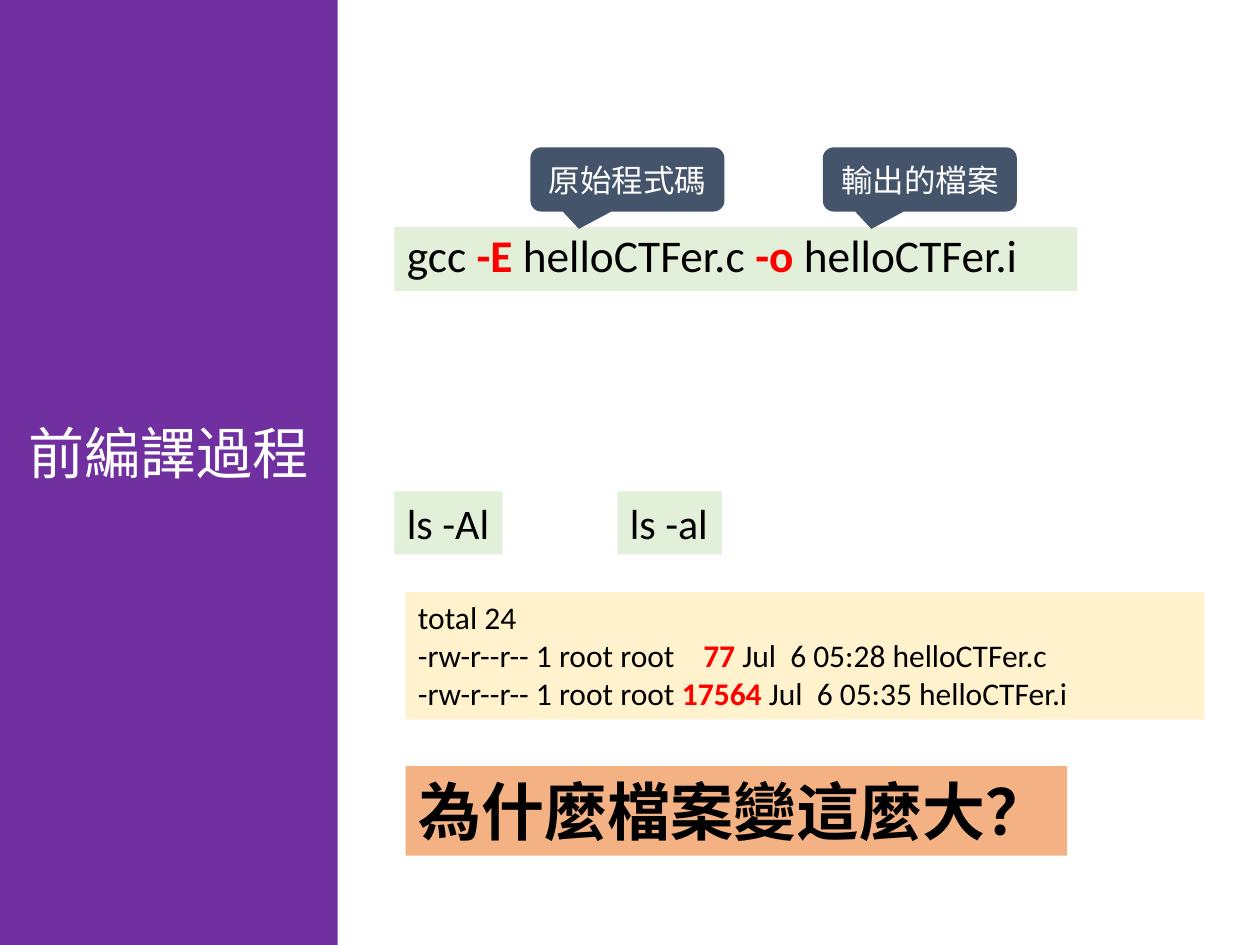
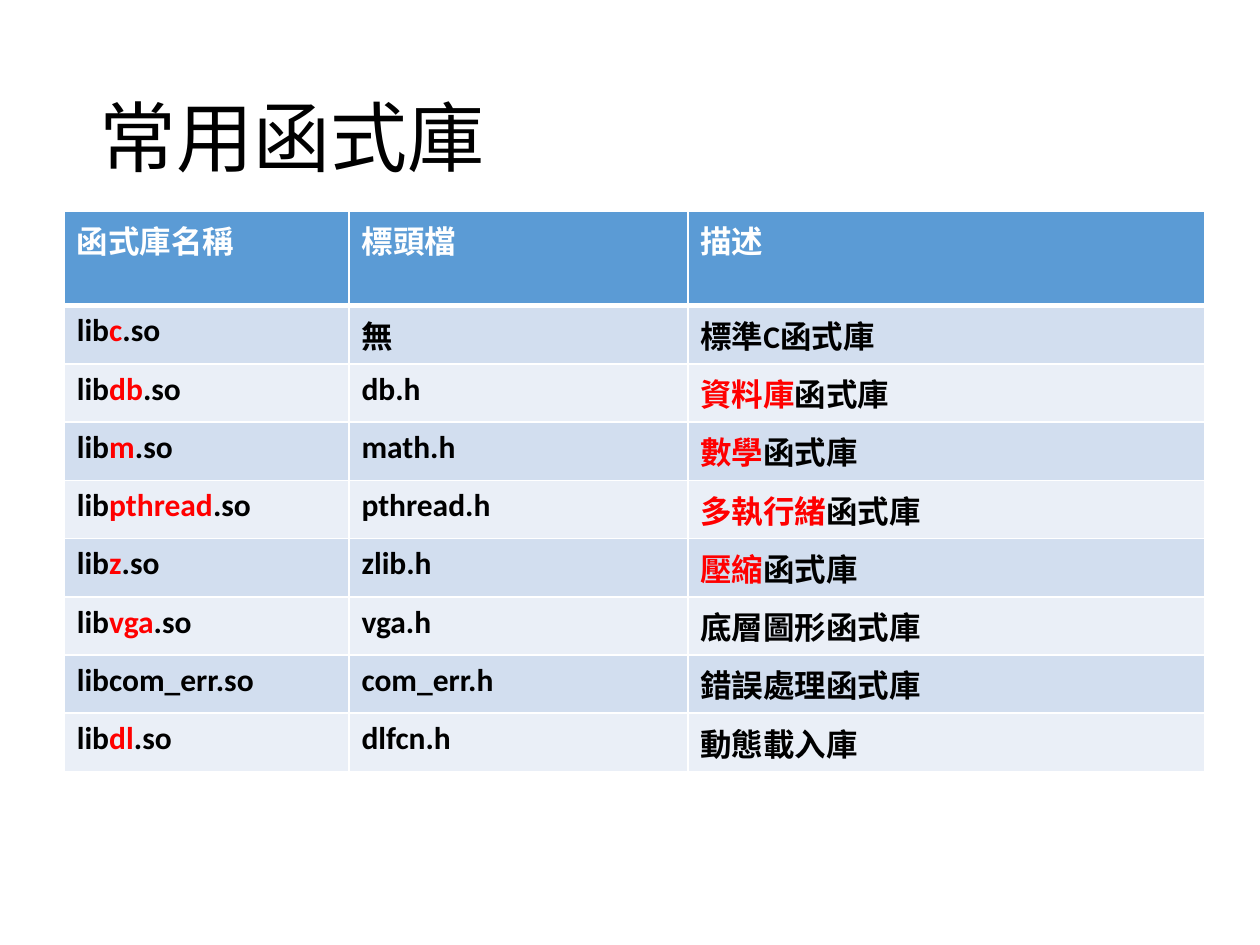
import pptx
import pptx.dml.color
import pptx.enum.shapes
import pptx.enum.text
import pptx.oxml
import pptx.util
from pptx.oxml.ns import nsdecls

Pt = pptx.util.Pt
RGBColor = pptx.dml.color.RGBColor
Shape = pptx.enum.shapes.MSO_SHAPE
Align = pptx.enum.text.PP_ALIGN
Anchor = pptx.enum.text.MSO_ANCHOR

FONT = "Calibri"
BLACK = RGBColor(0x00, 0x00, 0x00)
WHITE = RGBColor(0xFF, 0xFF, 0xFF)
RED = RGBColor(0xFF, 0x00, 0x00)
PURPLE = RGBColor(0x70, 0x30, 0xA0)
COMMAND_GREEN = RGBColor(0xE2, 0xF0, 0xD9)
OUTPUT_YELLOW = RGBColor(0xFF, 0xF2, 0xCC)
QUESTION_ORANGE = RGBColor(0xF4, 0xB1, 0x83)
CALLOUT_SLATE = RGBColor(0x44, 0x54, 0x6A)
HEADER_BLUE = RGBColor(0x5B, 0x9B, 0xD5)
ROW_BANDS = (RGBColor(0xD2, 0xDE, 0xEF), RGBColor(0xEA, 0xEF, 0xF7))

# Text between asterisks is highlighted
LISTING = """total 24
-rw-r--r-- 1 root root    *77* Jul  6 05:28 helloCTFer.c
-rw-r--r-- 1 root root *17564* Jul  6 05:35 helloCTFer.i"""

LIBRARIES = [
    ("函式庫名稱", "標頭檔", "描述"),
    ("lib*c*.so", "無", "標準C函式庫"),
    ("lib*db*.so", "db.h", "*資料庫*函式庫"),
    ("lib*m*.so", "math.h", "*數學*函式庫"),
    ("lib*pthread*.so", "pthread.h", "*多執行緒*函式庫"),
    ("lib*z*.so", "zlib.h", "*壓縮*函式庫"),
    ("lib*vga*.so", "vga.h", "底層圖形函式庫"),
    ("libcom_err.so", "com_err.h", "錯誤處理函式庫"),
    ("lib*dl*.so", "dlfcn.h", "動態載入庫"),
]
COLUMN_WIDTHS = (162.7, 193.7, 295.2)
HEADER_HEIGHT, ROW_HEIGHT = 54, 33.3


def write_text(text_frame, text, size, color=BLACK, bold=False,
               align=Align.LEFT, line_spacing=None):
    """Write one paragraph per line; highlighted parts are red and bold."""
    for line_number, line in enumerate(text.split("\n")):
        paragraph = (text_frame.add_paragraph() if line_number
                     else text_frame.paragraphs[0])
        paragraph.alignment = align
        paragraph.line_spacing = line_spacing
        for part_number, part in enumerate(line.split("*")):
            if not part:
                continue
            highlighted = part_number % 2 == 1
            run = paragraph.add_run()
            run.text = part
            run.font.name = FONT
            run.font.size = Pt(size)
            run.font.bold = bold or highlighted
            run.font.color.rgb = RED if highlighted else color


def place_title(slide, text, box, size, color, align, line_spacing=None):
    title = slide.shapes.title
    title.left, title.top, title.width, title.height = map(Pt, box)
    text_frame = title.text_frame
    text_frame.auto_size = pptx.enum.text.MSO_AUTO_SIZE.NONE
    text_frame.vertical_anchor = Anchor.MIDDLE
    write_text(text_frame, text, size, color, False, align, line_spacing)
    return title


def add_box(slide, text, box, fill, size, kind=Shape.RECTANGLE, wrap=True,
            anchor=Anchor.TOP, **text_style):
    shape = slide.shapes.add_shape(kind, *map(Pt, box))
    shape.shadow.inherit = False
    shape.fill.solid()
    shape.fill.fore_color.rgb = fill
    shape.line.fill.background()
    shape.text_frame.word_wrap = wrap
    shape.text_frame.vertical_anchor = anchor
    write_text(shape.text_frame, text, size, **text_style)
    return shape


def add_callout(slide, text, left):
    callout = add_box(slide, text, (left, 84.2, 110.9, 36.7), CALLOUT_SLATE, 18,
                      kind=Shape.ROUNDED_RECTANGULAR_CALLOUT,
                      anchor=Anchor.MIDDLE, color=WHITE, align=Align.CENTER)
    for index, value in enumerate((-0.25, 0.77, 0.17)):
        callout.adjustments[index] = value


def set_borders(cell, top, bottom):
    properties = cell._tc.get_or_add_tcPr()
    for side, width in (("L", 1), ("R", 1), ("T", top), ("B", bottom)):
        properties.append(pptx.oxml.parse_xml(
            f'<a:ln{side} {nsdecls("a")} w="{Pt(width)}"><a:solidFill>'
            f'<a:srgbClr val="{WHITE}"/></a:solidFill></a:ln{side}>'))


def add_library_table(slide, left, top):
    row_count = len(LIBRARIES)
    height = HEADER_HEIGHT + ROW_HEIGHT * (row_count - 1)
    table = slide.shapes.add_table(
        row_count, len(COLUMN_WIDTHS), Pt(left), Pt(top),
        Pt(sum(COLUMN_WIDTHS)), Pt(height)).table
    for column, width in zip(table.columns, COLUMN_WIDTHS):
        column.width = Pt(width)
    for row_number, texts in enumerate(LIBRARIES):
        is_header = row_number == 0
        table.rows[row_number].height = Pt(HEADER_HEIGHT if is_header else ROW_HEIGHT)
        for column_number, text in enumerate(texts):
            cell = table.cell(row_number, column_number)
            set_borders(cell, top=3 if row_number == 1 else 1,
                        bottom=3 if is_header else 1)
            cell.fill.solid()
            cell.fill.fore_color.rgb = (HEADER_BLUE if is_header
                                        else ROW_BANDS[(row_number - 1) % 2])
            write_text(cell.text_frame, text, 18,
                       WHITE if is_header else BLACK, bold=True)


def build_precompile_slide(slide):
    # Side band carrying the title
    band = place_title(slide, "前編譯過程", (0, -1.4, 193, 541.4), 32, WHITE, Align.CENTER)
    band.fill.solid()
    band.fill.fore_color.rgb = PURPLE
    band.text_frame.margin_bottom = Pt(25.6)

    # Compile command and its callouts
    add_box(slide, "gcc *-E *helloCTFer.c *-o *helloCTFer.i",
            (225.4, 129.6, 390.2, 36.7), COMMAND_GREEN, 25.9, line_spacing=0.9)
    add_callout(slide, "原始程式碼", 303.1)
    add_callout(slide, "輸出的檔案", 470.2)

    # Listing commands, their output and the question
    add_box(slide, "ls -Al", (225.4, 280.8, 61.9, 36), COMMAND_GREEN, 24, wrap=False)
    add_box(slide, "ls -al", (352.8, 280.8, 59.8, 36), COMMAND_GREEN, 24, wrap=False)
    add_box(slide, LISTING, (231.8, 338.4, 456.5, 72.7), OUTPUT_YELLOW, 18)
    add_box(slide, "為什麼檔案變這麼大？", (231.8, 437.8, 378, 51.1),
            QUESTION_ORANGE, 36, wrap=False, bold=True)


def build_library_slide(slide):
    place_title(slide, "常用函式庫", (49.7, 28.8, 620.6, 104.4), 44, BLACK,
                Align.LEFT, line_spacing=0.9)
    add_library_table(slide, 36.7, 120.6)


def main():
    presentation = pptx.Presentation()
    presentation.slide_width, presentation.slide_height = Pt(720), Pt(540)
    title_only = presentation.slide_layouts[5]
    for build in (build_precompile_slide, build_library_slide):
        build(presentation.slides.add_slide(title_only))
    presentation.save("out.pptx")


if __name__ == "__main__":
    main()
